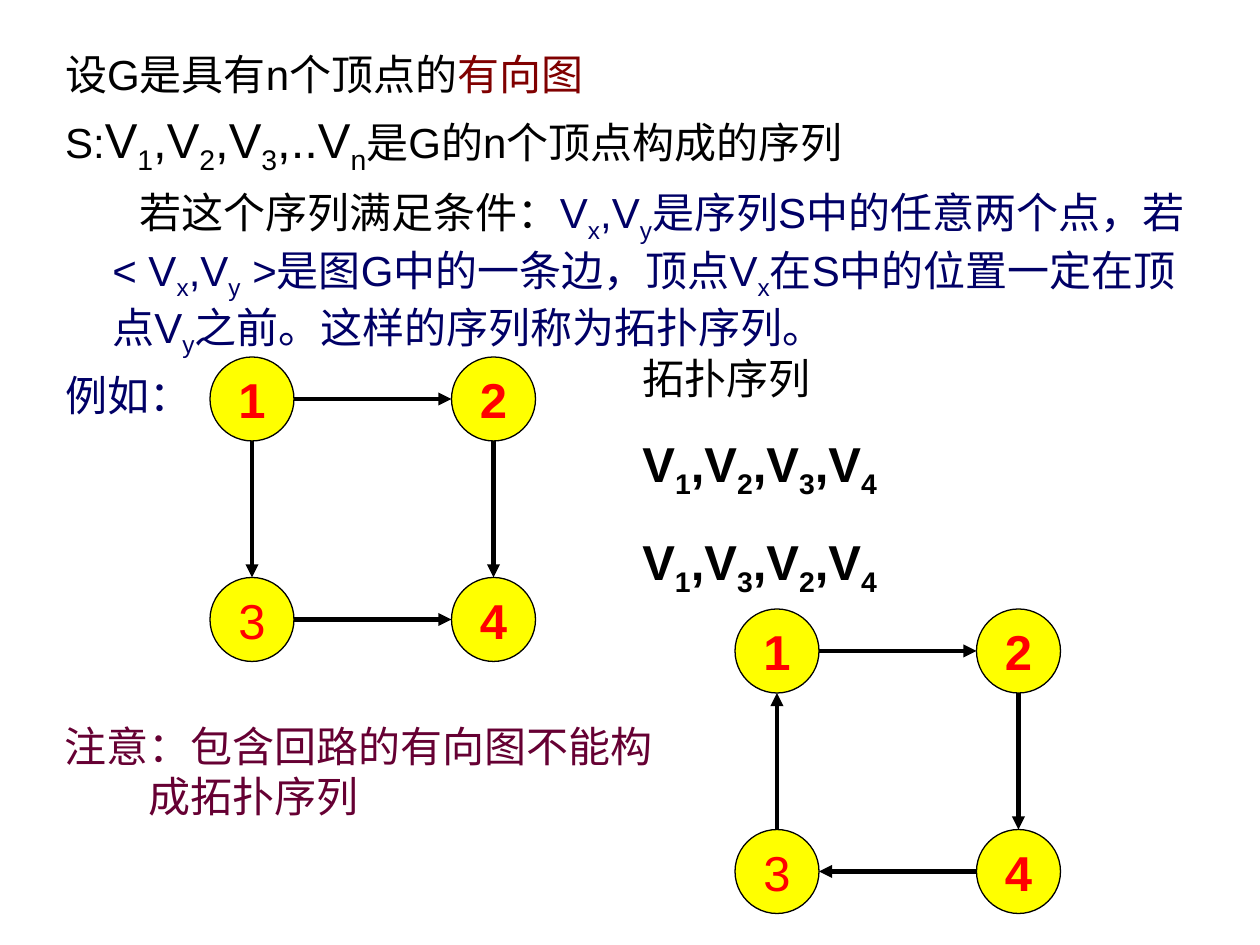
from dataclasses import dataclass
from typing import Any, NamedTuple

import pptx
import pptx.dml.color
import pptx.enum.shapes
import pptx.enum.text
import pptx.util
from lxml import etree
from pptx.oxml.ns import qn

PX = 9525  # EMU in one px, 96 px to the inch


@dataclass(frozen=True)
class Theme:
    font: str = "Arial"
    text_size: int = 24
    symbol_size: int = 28
    ink: str = "000000"
    term: str = "800000"
    rule: str = "000066"
    warning: str = "660033"
    node_fill: str = "FFFF00"
    node_text: str = "FF0000"
    outline: float = 0.75
    arrow: float = 2.5


class Span(NamedTuple):
    text: str  # "_" lowers the one character after it
    color: str
    size: int


class Line(NamedTuple):
    spans: list[Span]
    before: float = 0
    left: int = 0
    first: int = 0
    bold: bool = False


class Node(NamedTuple):
    label: str
    column: int
    row: int
    bold: bool = True


class Graph(NamedTuple):
    left: int
    top: int
    edges: list[tuple[str, str]]


THEME = Theme()
DIAMETER, COLUMN_STEP, ROW_STEP = 64, 184, 168
NODES = [Node("1", 0, 0), Node("3", 0, 1, bold=False), Node("4", 1, 1), Node("2", 1, 0)]


def px(length: float) -> int:
    return round(length * PX)


def rgb(color: str) -> pptx.dml.color.RGBColor:
    return pptx.dml.color.RGBColor.from_string(color)


def add_text(para: Any, text: str, *, size: int, color: str, bold: bool = False) -> None:
    """Add text to a paragraph, with subscripts marked by underscores."""
    head, *marked = text.split("_")
    pieces = [(head, False)]
    for part in marked:
        pieces += [(part[0], True), (part[1:], False)]
    for piece, lowered in pieces:
        if not piece:
            continue
        span = para.add_run()
        span.text = piece
        span.font.name = THEME.font
        span.font.size = pptx.util.Pt(size)
        span.font.bold = bold
        span.font.color.rgb = rgb(color)
        if lowered:
            span.font._element.set("baseline", "-25000")


def fill_lines(frame: Any, lines: list[Line]) -> None:
    frame.word_wrap = True
    frame.auto_size = pptx.enum.text.MSO_AUTO_SIZE.NONE
    for index, line in enumerate(lines):
        para = frame.add_paragraph() if index else frame.paragraphs[0]
        para.space_before = pptx.util.Pt(line.before)
        properties = para._p.get_or_add_pPr()
        properties.set("marL", str(px(line.left)))
        properties.set("indent", str(px(line.first)))
        etree.SubElement(properties, qn("a:buNone"))
        for span in line.spans:
            add_text(para, span.text, size=span.size, color=span.color, bold=line.bold)


def add_box(page: Any, left: int, top: int, width: int, height: int, lines: list[Line]) -> None:
    box = page.shapes.add_textbox(px(left), px(top), px(width), px(height))
    fill_lines(box.text_frame, lines)


def add_node(group: Any, node: Node, left: int, top: int) -> None:
    circle = group.shapes.add_shape(
        pptx.enum.shapes.MSO_SHAPE.OVAL, px(left), px(top), px(DIAMETER), px(DIAMETER))
    circle.shadow.inherit = False
    circle.fill.solid()
    circle.fill.fore_color.rgb = rgb(THEME.node_fill)
    circle.line.color.rgb = rgb(THEME.ink)
    circle.line.width = pptx.util.Pt(THEME.outline)
    frame = circle.text_frame
    frame.word_wrap = False
    frame.vertical_anchor = pptx.enum.text.MSO_ANCHOR.MIDDLE
    para = frame.paragraphs[0]
    para.alignment = pptx.enum.text.PP_ALIGN.CENTER
    add_text(para, node.label, size=THEME.symbol_size, color=THEME.node_text, bold=node.bold)


def add_arrow(group: Any, x1: int, y1: int, x2: int, y2: int) -> None:
    arrow = group.shapes.add_connector(
        pptx.enum.shapes.MSO_CONNECTOR.STRAIGHT, px(x1), px(y1), px(x2), px(y2))
    arrow.line.color.rgb = rgb(THEME.ink)
    arrow.line.width = pptx.util.Pt(THEME.arrow)
    etree.SubElement(arrow.line._get_or_add_ln(), qn("a:tailEnd"), type="triangle")
    etree.SubElement(arrow._element.spPr, qn("a:effectLst"))


def add_graph(page: Any, graph: Graph) -> None:
    group = page.shapes.add_group_shape()
    radius = DIAMETER // 2
    centres = {}
    for node in NODES:
        left = graph.left + node.column * COLUMN_STEP
        top = graph.top + node.row * ROW_STEP
        add_node(group, node, left, top)
        centres[node.label] = (left + radius, top + radius)
    for start, end in graph.edges:
        (x1, y1), (x2, y2) = centres[start], centres[end]
        # Edges run along one axis, from rim to rim
        dx = radius * ((x2 > x1) - (x2 < x1))
        dy = radius * ((y2 > y1) - (y2 < y1))
        add_arrow(group, x1 + dx, y1 + dy, x2 - dx, y2 - dy)


def main() -> None:
    deck = pptx.Presentation()
    deck.slide_width, deck.slide_height = px(960), px(720)
    page = deck.slides.add_slide(deck.slide_layouts[1])
    title = page.shapes.title
    title._element.getparent().remove(title._element)

    text, symbol = THEME.text_size, THEME.symbol_size
    hanging = {"left": 36, "first": -36}

    # Definition
    body = page.placeholders[1]
    body.left, body.top, body.width, body.height = px(40), px(32), px(880), px(612)
    fill_lines(body.text_frame, [
        Line([Span("设G是具有n个顶点的", THEME.ink, text),
              Span("有向图", THEME.term, text)], **hanging),
        Line([Span("S:", THEME.ink, text),
              Span("V_1,V_2,V_3,..V_n", THEME.ink, symbol),
              Span("是G的n个顶点构成的序列", THEME.ink, text)], before=6, **hanging),
        Line([Span("若这个序列满足条件：", THEME.ink, text),
              Span("V_x,V_y是序列S中的任意两个点，若< V_x,V_y >是图G中的一条边，"
                   "顶点V_x在S中的位置一定在顶点V_y之前。这样的序列称为拓扑序列。",
                   THEME.rule, text)], before=6, left=36, first=21),
        Line([Span("例如：", THEME.rule, text)], before=6, **hanging),
    ])

    # Acyclic graph and its topological orders
    add_graph(page, Graph(160, 272, [("1", "2"), ("2", "4"), ("1", "3"), ("3", "4")]))
    add_box(page, 480, 264, 312, 123, [
        Line([Span("拓扑序列", THEME.ink, text)]),
        Line([Span("V_1,V_2,V_3,V_4", THEME.ink, symbol)], before=17.5, bold=True),
    ])
    add_box(page, 480, 400, 240, 60, [
        Line([Span("V_1,V_3,V_2,V_4", THEME.ink, symbol)], bold=True)])

    # Graph with a cycle and the warning about it
    add_graph(page, Graph(560, 464, [("1", "2"), ("2", "4"), ("3", "1"), ("4", "3")]))
    add_box(page, 40, 544, 488, 86, [
        Line([Span("注意：包含回路的有向图不能构成拓扑序列", THEME.warning, text)],
             left=64, first=-64)])

    deck.save("out.pptx")


if __name__ == "__main__":
    main()
